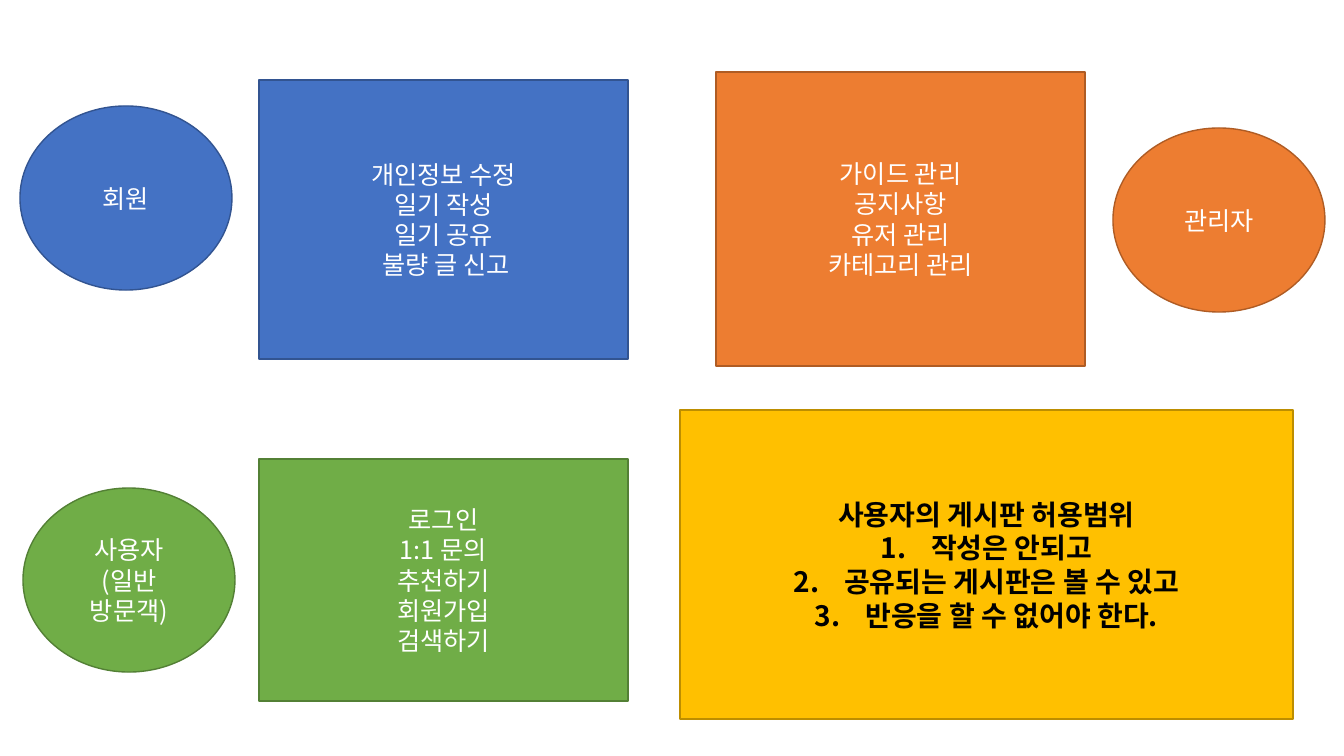
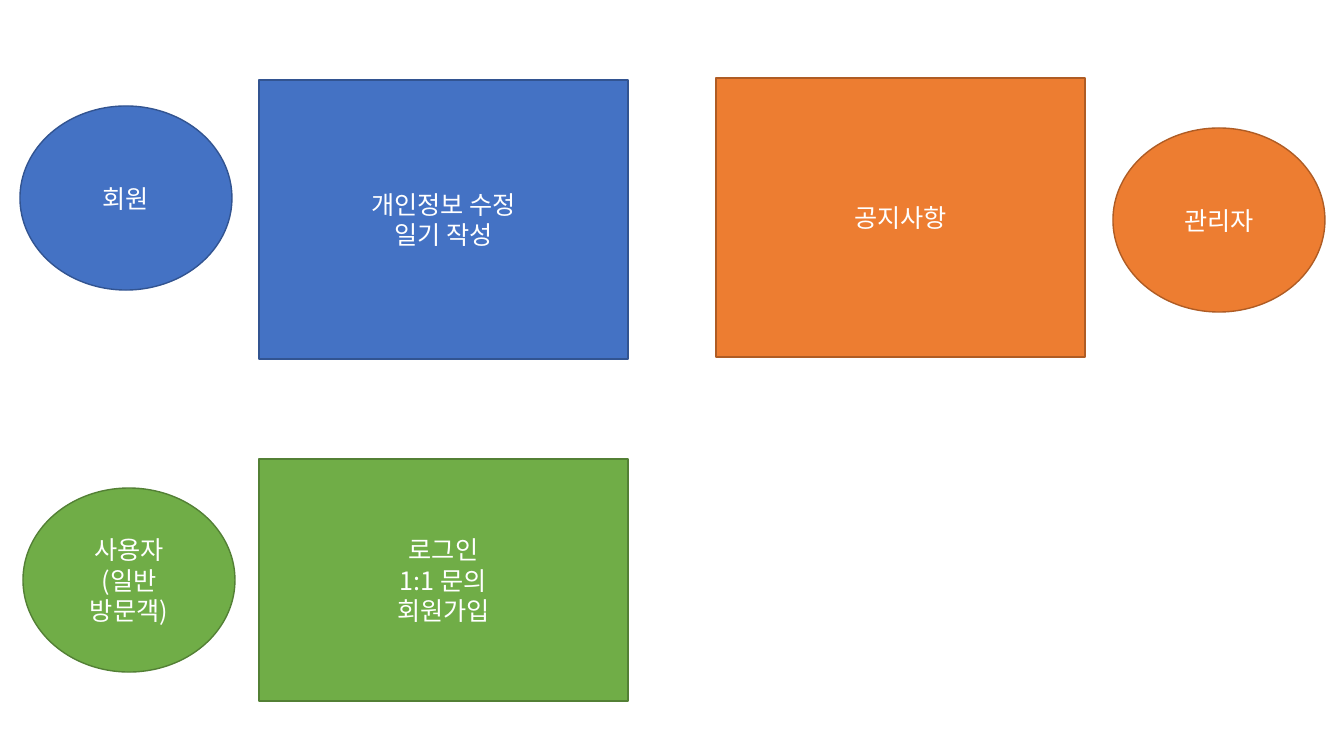
from dataclasses import dataclass

from lxml import etree
from pptx import Presentation
from pptx.dml.color import RGBColor
from pptx.enum.shapes import MSO_SHAPE
from pptx.enum.text import MSO_ANCHOR, PP_ALIGN
from pptx.oxml.ns import qn
from pptx.util import Pt

OVAL, RECT = MSO_SHAPE.OVAL, MSO_SHAPE.RECTANGLE
CENTER, MIDDLE = PP_ALIGN.CENTER, MSO_ANCHOR.MIDDLE
PX = 914400 / 100.8
BLANK = 6


def px(n):
    """Turn pixels into EMU."""
    return round(n * PX)


@dataclass(frozen=True)
class Theme:
    """Colours as (fill, line) pairs, font and type sizes."""
    blue: tuple = ("4472C4", "325491")
    green: tuple = ("70AD47", "538035")
    orange: tuple = ("ED7D31", "AF5C24")
    yellow: tuple = ("FFC000", "BD8E00")
    white: str = "FFFFFF"
    black: str = "000000"
    font: str = "Noto Sans CJK KR"
    body: int = 18
    note: int = 20
    line: int = 1


class Deck:
    """Holds the presentation, its theme and the current slide."""

    def __init__(self, theme):
        """Start an empty widescreen presentation."""
        self.theme = theme
        self.prs = Presentation()
        self.prs.slide_width, self.prs.slide_height = px(1344), px(756)
        self.slide = None

    def new_slide(self):
        """Add a blank slide and make it current."""
        self.slide = self.prs.slides.add_slide(self.prs.slide_layouts[BLANK])

    def block(self, kind, box, colors, lines):
        """Draw a filled shape with one centred paragraph per line."""
        sp = self.slide.shapes.add_shape(kind, *map(px, box))
        sp.shadow.inherit = False
        fill, line = map(RGBColor.from_string, colors)
        sp.fill.solid()
        sp.fill.fore_color.rgb = fill
        sp.line.color.rgb = line
        sp.line.width = Pt(self.theme.line)
        tf = sp.text_frame
        tf.word_wrap = True
        tf.vertical_anchor = MIDDLE
        tf.text = "\n".join(lines)
        self.format_text(tf, self.theme.body, self.theme.white)
        return tf

    def format_text(self, tf, size, color, bold=False):
        """Apply alignment and one type style to all of a text frame."""
        for p in tf.paragraphs:
            p.alignment = CENTER
            for r in p.runs:
                font = r.font
                font.size, font.bold = Pt(size), bold
                font.color.rgb = RGBColor.from_string(color)
                font.name = self.theme.font
                rpr = r._r.get_or_add_rPr()
                for ea in rpr.findall(qn("a:ea")):
                    rpr.remove(ea)
                rpr.find(qn("a:latin")).addnext(
                    etree.Element(qn("a:ea"), typeface=self.theme.font))

    def role(self, left, top, colors, lines):
        """Draw the oval that names a role."""
        self.block(OVAL, (left, top, 212, 184), colors, lines)

    def features(self, left, top, height, colors, lines):
        """Draw the rectangle that lists the features of a role."""
        self.block(RECT, (left, top, 369, height), colors, lines)

    def rules(self, box, colors, title, items):
        """Draw a bold heading followed by a numbered list."""
        tf = self.block(RECT, box, colors, [title, *items])
        self.format_text(tf, self.theme.note, self.theme.black, bold=True)
        for p in tf.paragraphs[1:]:
            ppr = p._p.get_or_add_pPr()
            ppr.set("marL", "457200")
            ppr.set("indent", "-457200")
            etree.SubElement(ppr, qn("a:buFont"), typeface="+mj-lt")
            etree.SubElement(ppr, qn("a:buAutoNum"), type="arabicPeriod")

    def role_slide(self, member, visitor, admin, admin_top, admin_height):
        """Add a slide with the three roles and their features."""
        t = self.theme
        self.new_slide()
        self.role(20, 106, t.blue, ["회원"])
        self.role(23, 488, t.green, ["사용자", "(일반 방문객)"])
        self.role(1113, 128, t.orange, ["관리자"])
        self.features(259, 459, 242, t.green, visitor)
        self.features(259, 80, 279, t.blue, member)
        self.features(716, admin_top, admin_height, t.orange, admin)


def main():
    """Build both slides and save them."""
    deck = Deck(Theme())
    deck.role_slide(
        member=["개인정보 수정", "일기 작성", "일기 공유", " 불량 글 신고"],
        visitor=["로그인", "1:1 문의", "추천하기", "회원가입", "검색하기"],
        admin=["가이드 관리", " 공지사항 ", "유저 관리", "카테고리 관리"],
        admin_top=72, admin_height=294)
    deck.rules((680, 410, 613, 309), deck.theme.yellow,
               "사용자의 게시판 허용범위",
               ["작성은 안되고", "공유되는 게시판은 볼 수 있고",
                "반응을 할 수 없어야 한다."])
    deck.role_slide(
        member=["개인정보 수정", "일기 작성"],
        visitor=["로그인", "1:1 문의", "회원가입"],
        admin=["공지사항"],
        admin_top=78, admin_height=279)
    deck.prs.save("out.pptx")


main()
